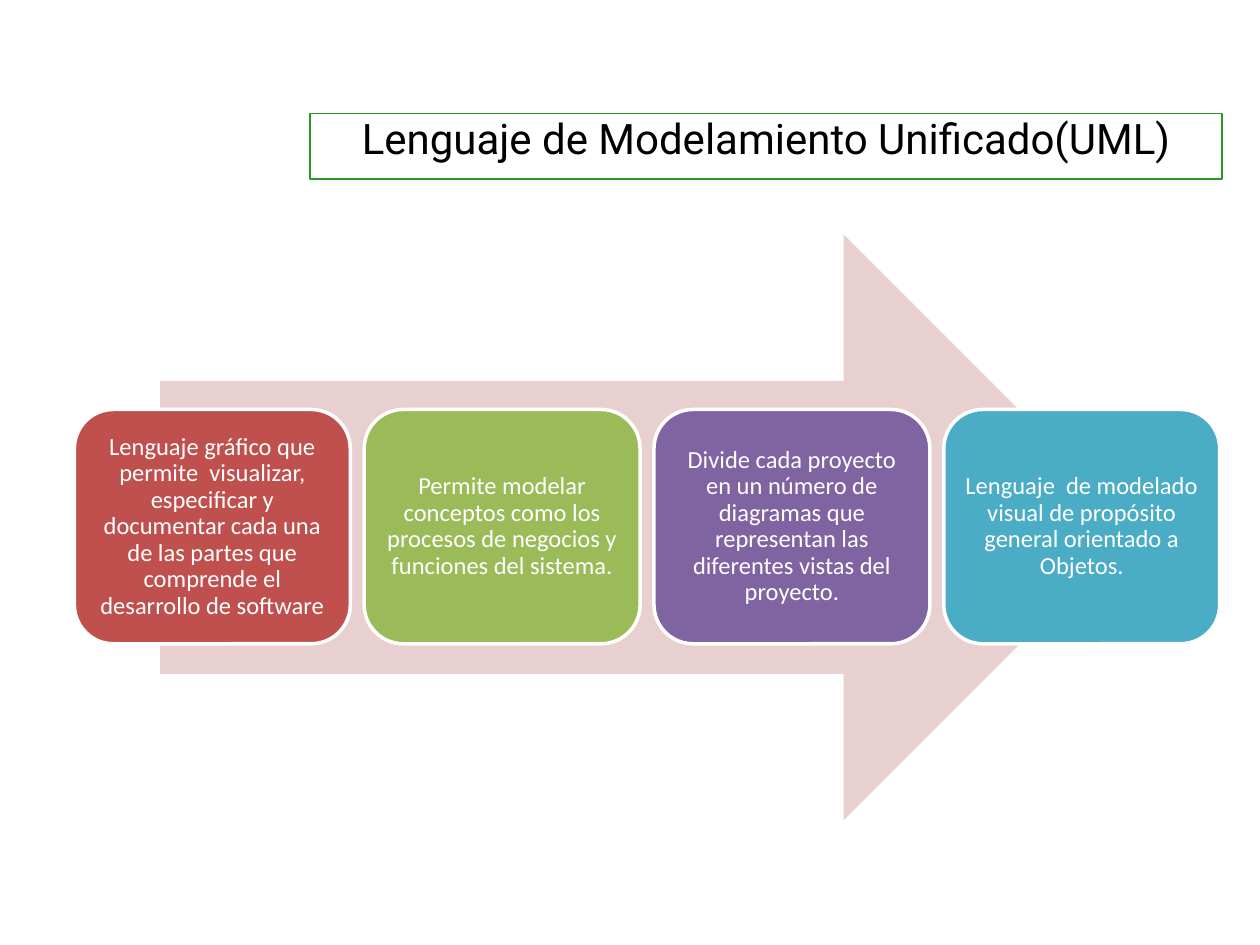
from pptx import Presentation
from pptx.dml.color import RGBColor
from pptx.enum.shapes import MSO_SHAPE
from pptx.enum.text import MSO_ANCHOR, PP_ALIGN
from pptx.util import Inches, Pt

RECT = MSO_SHAPE.RECTANGLE
ROUND = MSO_SHAPE.ROUNDED_RECTANGLE
ARROW = MSO_SHAPE.RIGHT_ARROW
MIDDLE = MSO_ANCHOR.MIDDLE
CENTER = PP_ALIGN.CENTER

WHITE = RGBColor(0xFF, 0xFF, 0xFF)
BLACK = RGBColor(0x00, 0x00, 0x00)
GREEN = RGBColor(0x29, 0x99, 0x26)
PINK = RGBColor(0xE8, 0xD0, 0xD0)
RED = RGBColor(0xC0, 0x50, 0x4D)
LIME = RGBColor(0x9B, 0xBB, 0x59)
PURPLE = RGBColor(0x80, 0x64, 0xA2)
TEAL = RGBColor(0x4B, 0xAC, 0xC6)

CARDS = [
    (RED, "Lenguaje gráfico que permite  visualizar, especificar y documentar "
          "cada una de las partes que comprende el desarrollo de software"),
    (LIME, "Permite modelar conceptos como los procesos de negocios y "
           "funciones del sistema."),
    (PURPLE, "Divide cada proyecto en un número de diagramas que representan "
             "las diferentes vistas del proyecto."),
    (TEAL, "Lenguaje  de modelado visual de propósito general orientado a "
           "Objetos."),
]
LEFT, STEP = 0.59, 2.3


def add_box(kind, place, fill, line=None, width=0):
    box = slide.shapes.add_shape(kind, *[Inches(v) for v in place])
    box.shadow.inherit = False
    box.fill.solid()
    box.fill.fore_color.rgb = fill
    if line is None:
        box.line.fill.background()
    else:
        box.line.color.rgb = line
        box.line.width = Pt(width)
    return box


def write(box, text, color, insets, face):
    """Centre text in box; insets are left, top, right, bottom in inches."""
    frame = box.text_frame
    frame.vertical_anchor = MIDDLE
    for side, inset in zip(("left", "top", "right", "bottom"), insets):
        setattr(frame, "margin_" + side, Inches(inset))
    para = frame.paragraphs[0]
    para.alignment = CENTER
    run = para.add_run()
    run.text = text
    for key, value in face.items():
        setattr(run.font, key, value)
    run.font.color.rgb = color
    return frame


prs = Presentation()
prs.slide_width = Inches(10)
prs.slide_height = Inches(7.5)
slide = prs.slides.add_slide(prs.slide_layouts[6])

title = add_box(RECT, (2.46, 0.9, 7.24, 0.52), WHITE, GREEN, 0.75)
frame = write(title, "Lenguaje de Modelamiento Unificado(UML)", BLACK,
              (0.1, 0, 0.1, 0.13), {"name": "Roboto", "size": Pt(24)})
frame.word_wrap = False

add_box(ARROW, (1.27, 1.86, 7.75, 4.65), PINK)

for i, (fill, text) in enumerate(CARDS):
    card = add_box(ROUND, (LEFT + i * STEP, 3.25, 2.19, 1.86), fill, WHITE, 2)
    frame = write(card, text, WHITE, [0.06] * 4,
                  {"name": "Calibri", "size": Pt(14)})
    frame.word_wrap = True
    frame.paragraphs[0].line_spacing = 0.9

prs.save("out.pptx")
